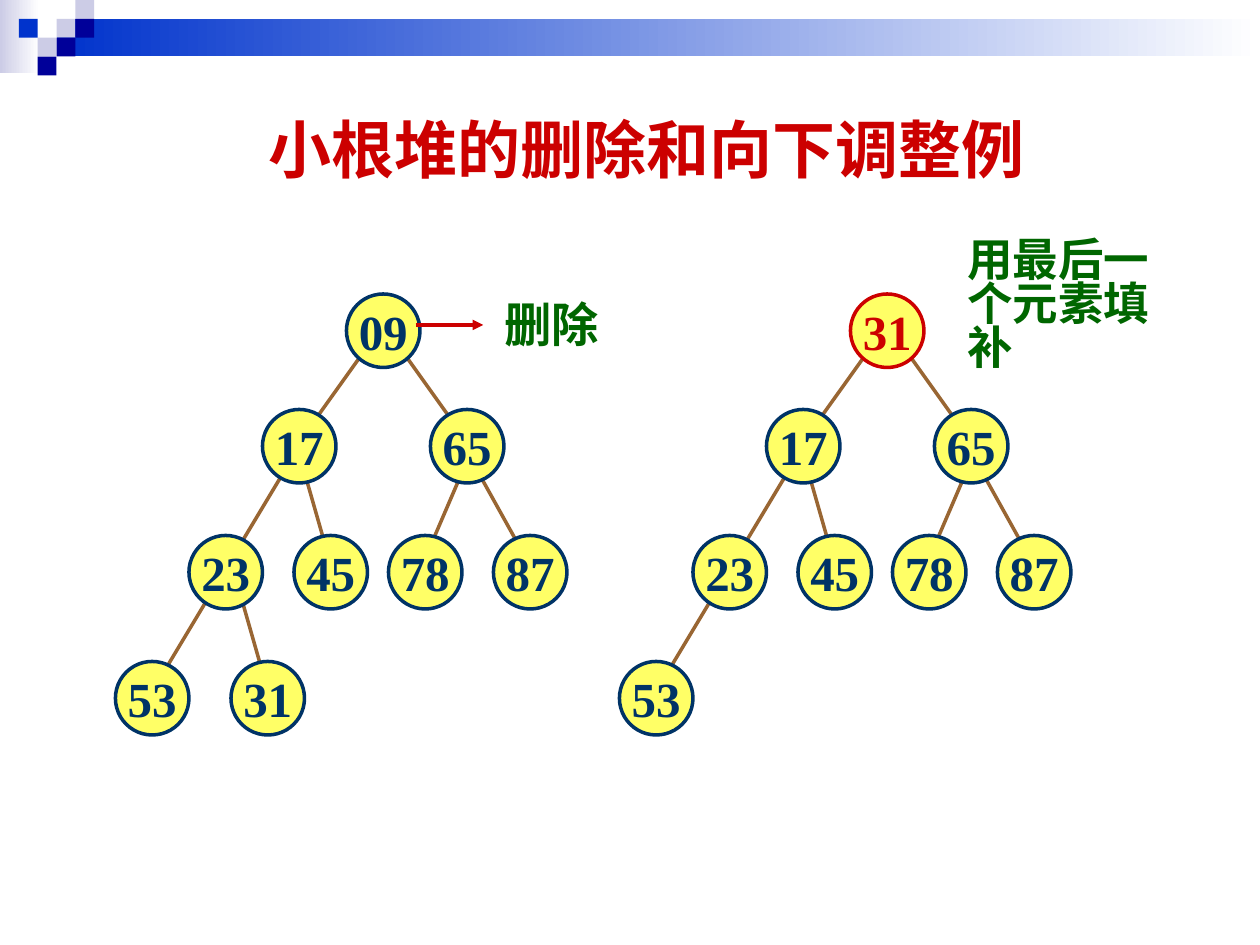
from pptx import Presentation
from pptx.dml.color import RGBColor
from pptx.enum.shapes import MSO_CONNECTOR, MSO_SHAPE
from pptx.enum.text import MSO_ANCHOR, PP_ALIGN
from pptx.oxml.ns import qn
from pptx.util import Cm, Pt
from lxml.etree import SubElement

NAVY, RED, GREEN = "003366", "CC0000", "006600"
YELLOW, BROWN = "FFFF66", "996633"
BLUE, DARK, PALE, WHITE = "0033CC", "000099", "CCCCE6", "FFFFFF"
UNIT = 2.54 / 12  # tree grid step in cm
NODE = 7          # node diameter in grid steps

# Tree layout in grid steps, from the tree's top left corner
SPOTS = [(22, 0), (14, 11), (30, 11), (7, 23), (17, 23),
         (26, 23), (36, 23), (0, 35), (11, 35)]
EDGES = [(24, 5, 19, 12), (27, 5, 32, 12), (16, 17, 4, 37),
         (18, 17, 20, 24), (33, 17, 30, 24), (34, 16, 39, 25),
         (12, 29, 14, 36)]


def rgb(code):
    return RGBColor.from_string(code)


def shape(slide, kind, x, y, w, h):
    item = slide.shapes.add_shape(kind, Cm(x), Cm(y), Cm(w), Cm(h))
    item.shadow.inherit = False
    item.line.fill.background()
    return item


def line(slide, x1, y1, x2, y2, color, arrow=False):
    item = slide.shapes.add_connector(
        MSO_CONNECTOR.STRAIGHT, Cm(x1), Cm(y1), Cm(x2), Cm(y2))
    item.line.color.rgb = rgb(color)
    item.line.width = Pt(2)
    if arrow:
        SubElement(item.line._get_or_add_ln(), qn("a:tailEnd"), type="triangle")
    SubElement(item._element.spPr, qn("a:effectLst"))


def write(frame, text, size, color, align=PP_ALIGN.CENTER):
    frame.vertical_anchor = MSO_ANCHOR.MIDDLE
    para = frame.paragraphs[0]
    para.text = text
    para.alignment = align
    font = para.font
    font.name, font.size, font.bold = "Times New Roman", Pt(size), True
    font.color.rgb = rgb(color)
    return para


def label(slide, x, y, w, h, *style):
    box = slide.shapes.add_textbox(Cm(x), Cm(y), Cm(w), Cm(h))
    box.text_frame.word_wrap = True
    return write(box.text_frame, *style)


def fade(slide, x, y, w, h, color):
    fill = shape(slide, MSO_SHAPE.RECTANGLE, x, y, w, h).fill
    fill.gradient()
    fill.gradient_angle = 0
    for stop, code in zip(fill.gradient_stops, (color, WHITE)):
        stop.color.rgb = rgb(code)


def header(slide, x, y, w):
    cell = 0.38
    # Fading bands
    fade(slide, x, y, 0.79, 1.47, PALE)
    fade(slide, x + 3 * cell, y + cell, w - 3 * cell, 2 * cell, BLUE)
    # Checker squares
    for col, row, color in [(3, 1, PALE), (4, 0, PALE), (4, 1, DARK),
                            (2, 2, PALE), (1, 1, BLUE), (3, 2, DARK),
                            (2, 3, DARK)]:
        box = shape(slide, MSO_SHAPE.RECTANGLE,
                    x + col * cell, y + row * cell, cell, cell)
        box.fill.solid()
        box.fill.fore_color.rgb = rgb(color)


def tree(slide, x, y, keys, root):
    # Each node but the root has an edge; the 17-23-53 line serves two
    for x1, y1, x2, y2 in EDGES[:len(keys) - 2]:
        line(slide, x + x1 * UNIT, y + y1 * UNIT,
             x + x2 * UNIT, y + y2 * UNIT, BROWN)
    # Nodes
    for i, (key, (col, row)) in enumerate(zip(keys, SPOTS)):
        color = NAVY if i else root
        node = shape(slide, MSO_SHAPE.OVAL, x + col * UNIT, y + row * UNIT,
                     NODE * UNIT, NODE * UNIT)
        node.fill.solid()
        node.fill.fore_color.rgb = rgb(YELLOW)
        node.line.color.rgb = rgb(color)
        node.line.width = Pt(2)
        frame = node.text_frame
        frame.margin_left = frame.margin_right = 0
        frame.margin_top = frame.margin_bottom = 0
        frame.word_wrap = False
        write(frame, key, 28, color)


def main():
    deck = Presentation()
    deck.slide_width, deck.slide_height = Cm(25.4), Cm(19.05)
    slide = deck.slides.add_slide(deck.slide_layouts[6])
    header(slide, 0, 0, 25.4)
    label(slide, 1.6, 1.52, 22.86, 2.95, "小根堆的删除和向下调整例", 36, RED)

    # Heap before and after the root is removed
    left, top = 11 * UNIT, 28 * UNIT
    keys = ["09", "17", "65", "23", "45", "78", "87", "53", "31"]
    tree(slide, left, top, keys, NAVY)
    tree(slide, left + 48 * UNIT, top, keys[-1:] + keys[1:-1], RED)

    # Remarks beside the roots
    line(slide, 8.38, 6.55, 9.74, 6.55, RED, arrow=True)
    label(slide, 9.91, 5.82, 2.41, 1.4, "删除", 27, GREEN)
    note = label(slide, 19.25, 4.75, 4.24, 2.9, "用最后一个元素填补",
                 26, GREEN, PP_ALIGN.LEFT)
    note.line_spacing = 0.8
    deck.save("out.pptx")


if __name__ == "__main__":
    main()
